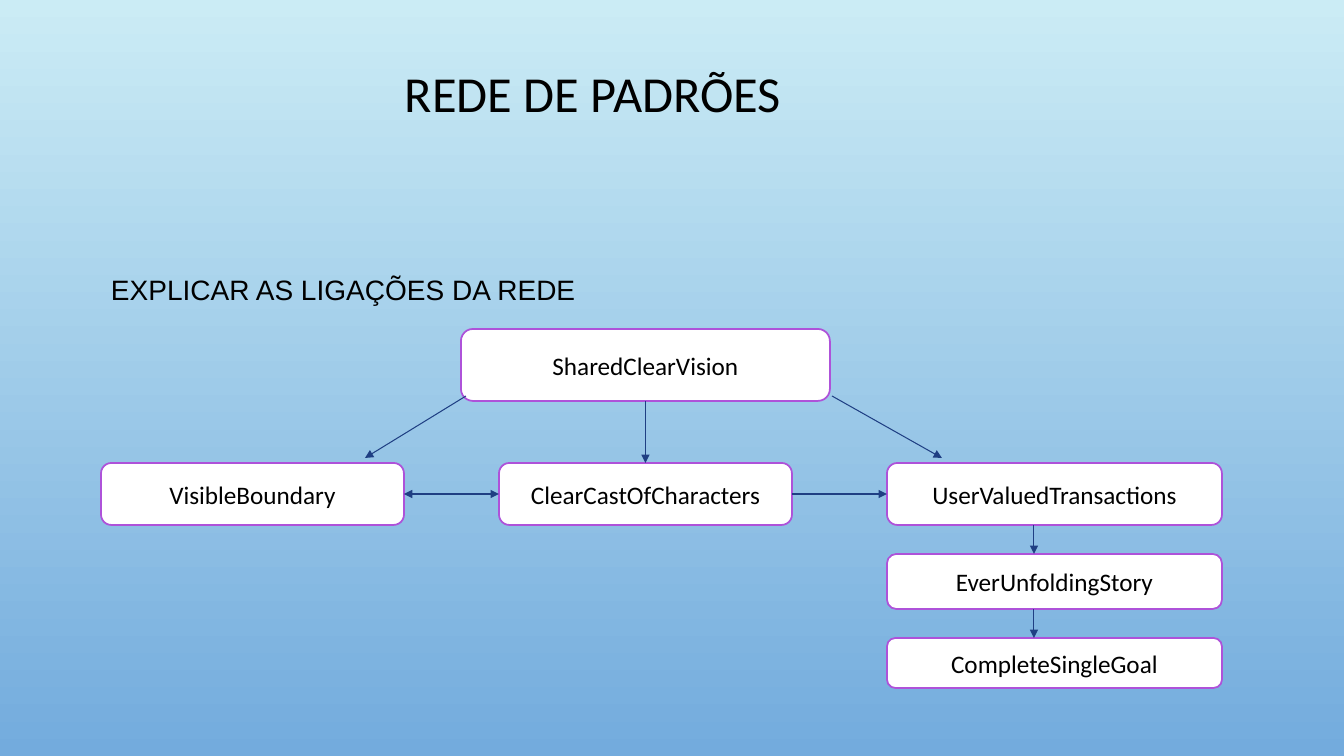
from pptx import Presentation
from pptx.dml.color import RGBColor
from pptx.enum.shapes import MSO_CONNECTOR as LineKind, MSO_SHAPE as Preset
from pptx.enum.text import MSO_ANCHOR as Anchor, PP_ALIGN as Align
from pptx.oxml.ns import qn
from pptx.util import Pt
from lxml.etree import SubElement

PX = 914400 / 100.8
TOP, LEFT, BOTTOM, RIGHT = range(4)
BLACK, WHITE, PURPLE, NAVY = "000000", "FFFFFF", "AE52D9", "1F3F83"


def px(length):
    return round(length * PX)


def color(hex_code):
    return RGBColor.from_string(hex_code)


def write(frame, text, size, font, align, spacing=1.0):
    frame.text = text
    frame.word_wrap = True
    line = frame.paragraphs[0]
    line.alignment, line.line_spacing = align, spacing
    style = line.runs[0].font
    style.size, style.name, style.color.rgb = Pt(size), font, color(BLACK)
    return line


def paint_background(slide):
    fill = slide.background.fill
    fill.gradient()
    fill.gradient_angle = 270
    for stop, shade in zip(fill.gradient_stops, ("CBECF5", "73ABDD")):
        stop.color.rgb = color(shade)


def add_heading(slide, left, top, width, height):
    heading = slide.shapes.title
    heading.left, heading.top = px(left), px(top)
    heading.width, heading.height = px(width), px(height)
    heading.text_frame.vertical_anchor = Anchor.MIDDLE
    write(heading.text_frame, "REDE DE PADRÕES", 36, "Calibri", Align.CENTER, 0.9)


def add_instruction(slide, left, top, width, height):
    box = slide.shapes.add_textbox(px(left), px(top), px(width), px(height))
    line = write(box.text_frame, "EXPLICAR AS LIGAÇÕES DA REDE", 20, "Arial",
                 Align.LEFT, 1.2)
    line.space_before = Pt(10)


def add_pattern(slide, name, left, top, width, height):
    pattern = slide.shapes.add_shape(Preset.ROUNDED_RECTANGLE, px(left), px(top),
                                     px(width), px(height))
    pattern.shadow.inherit = False
    pattern.fill.solid()
    pattern.fill.fore_color.rgb = color(WHITE)
    pattern.line.color.rgb = color(PURPLE)
    pattern.line.width = Pt(1.25)
    pattern.text_frame.vertical_anchor = Anchor.MIDDLE
    write(pattern.text_frame, name, 18, "Calibri", Align.CENTER)
    return pattern


def add_arrow(slide, start=(0, 0), end=(0, 0), both_ways=False):
    arrow = slide.shapes.add_connector(LineKind.STRAIGHT, *map(px, start + end))
    arrow.line.color.rgb = color(NAVY)
    arrow.line.width = Pt(0.75)
    outline = arrow.line._get_or_add_ln()
    for tip in ("a:headEnd", "a:tailEnd") if both_ways else ("a:tailEnd",):
        SubElement(outline, qn(tip), type="triangle")
    SubElement(arrow._element.spPr, qn("a:effectLst"))
    return arrow


def join(slide, source, source_side, target, target_side, both_ways=False):
    arrow = add_arrow(slide, both_ways=both_ways)
    arrow.begin_connect(source, source_side)
    arrow.end_connect(target, target_side)


def add_network(slide, left, top):
    row, column = top + 134, left + 786
    # Patterns
    vision = add_pattern(slide, "SharedClearVision", left + 360, top, 369, 72)
    boundary = add_pattern(slide, "VisibleBoundary", left, row, 303, 62)
    cast = add_pattern(slide, "ClearCastOfCharacters", left + 398, row, 293, 62)
    transactions = add_pattern(slide, "UserValuedTransactions", column, row, 335, 62)
    add_pattern(slide, "EverUnfoldingStory", column, row + 91, 335, 55)
    add_pattern(slide, "CompleteSingleGoal", column, row + 175, 335, 50)

    # Links between the middles of sides
    join(slide, vision, BOTTOM, cast, TOP)
    join(slide, boundary, RIGHT, cast, LEFT, both_ways=True)
    join(slide, cast, RIGHT, transactions, LEFT)

    # Slanted links from the vision's corners
    for start_x, end_x in ((365, 264), (731, 841)):
        add_arrow(slide, (left + start_x, top + 67), (left + end_x, row - 5))

    # Links down the right column, left of its middle
    for start_y, end_y in ((62, 91), (146, 175)):
        add_arrow(slide, (column + 147, row + start_y), (column + 147, row + end_y))


def main():
    deck = Presentation()
    deck.slide_width, deck.slide_height = px(1344), px(756)
    slide = deck.slides.add_slide(deck.slide_layouts[5])
    paint_background(slide)
    add_heading(slide, 37, 50, 1112, 93)
    add_instruction(slide, 101, 261, 1142, 60)
    add_network(slide, 101, 329)
    deck.save("out.pptx")


if __name__ == "__main__":
    main()
